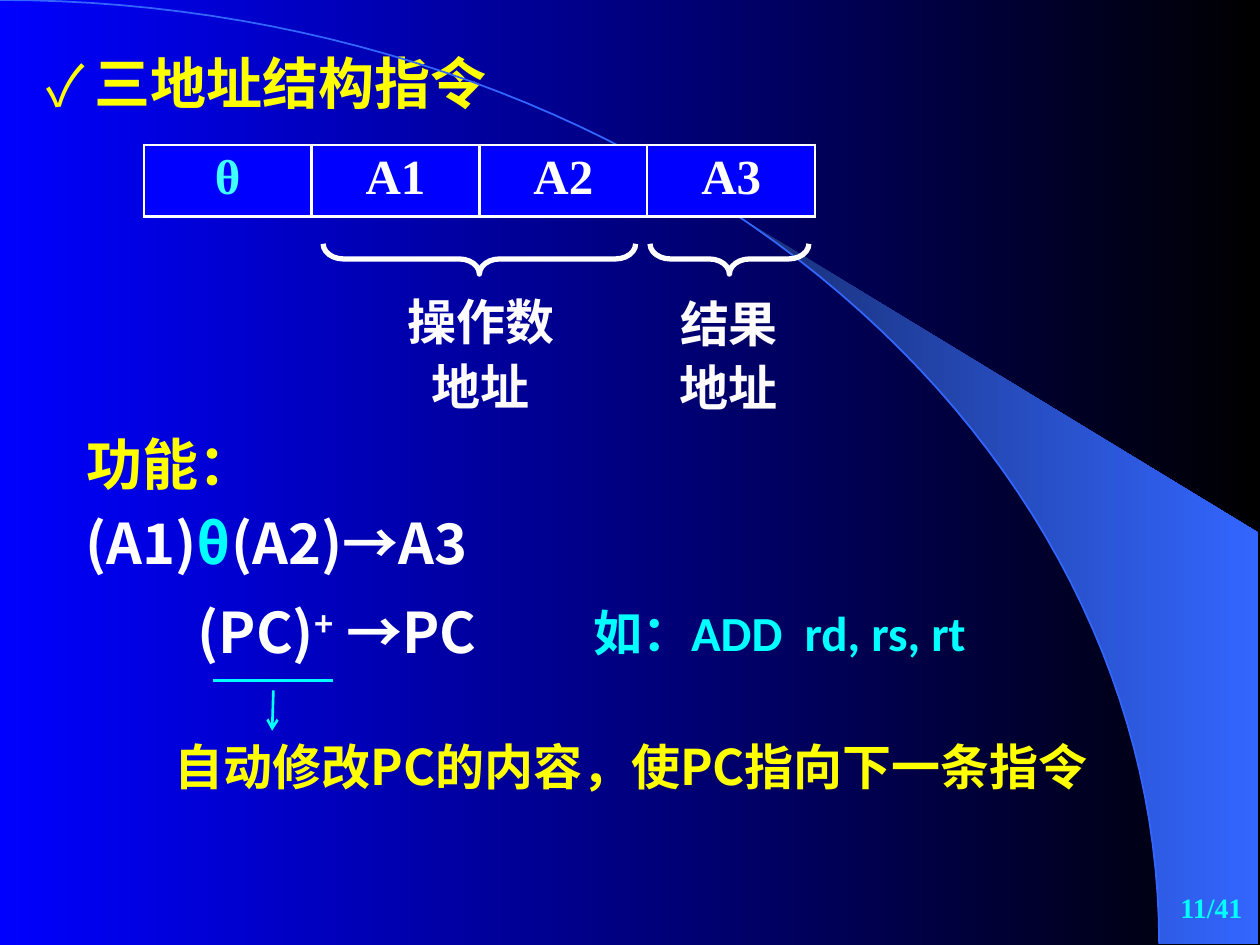
"""Build the slide on three-address instructions."""
import dataclasses
import math

import lxml.etree
import pptx
import pptx.dml.color
import pptx.enum.shapes
import pptx.enum.text
import pptx.oxml.ns
import pptx.util

ALIGN = pptx.enum.text.PP_ALIGN
SHAPE = pptx.enum.shapes.MSO_SHAPE
TOP = pptx.enum.text.MSO_ANCHOR.TOP
MID = pptx.enum.text.MSO_ANCHOR.MIDDLE


@dataclasses.dataclass(frozen=True)
class Theme:
    """Colours, fonts and type sizes."""
    blue: str = "0000FF"
    black: str = "000000"
    navy: str = "182F76"
    sky: str = "3366FF"
    gold: str = "FFFF00"
    white: str = "FFFFFF"
    pale: str = "FDFBFB"
    aqua: str = "00FFFF"
    ice: str = "40FFFF"
    sans: str = "Noto Sans CJK SC"
    serif: str = "Times New Roman"
    plain: str = "Calibri"
    large: int = 32
    mid: int = 28
    small: int = 16


T = Theme()
WIDE, HIGH = pptx.util.Inches(10), pptx.util.Inches(7.5)

HEAD = dict(at=(2.7, 3.73, 54.2, 9.2), size=T.large, space=1.1,
            runs=[("三地址结构指令", T.gold)])
NOTES = [
    dict(at=(29.9, 29.6, 16.5, 15.07), align=ALIGN.CENTER, space=1.1,
         runs=[("操作数地址", T.pale)]),
    dict(at=(51.6, 29.73, 12.5, 15.07), align=ALIGN.CENTER, space=1.1,
         runs=[("结果地址", T.pale)]),
    dict(at=(5.9, 44.8, 16.7, 8.53), size=T.large, face=T.serif,
         runs=[("功能：", T.gold)]),
    dict(at=(5.8, 53.2, 38.6, 8.53), size=T.large,
         runs=[("(A1)", T.white), ("θ", T.aqua), ("(A2)→A3", T.white)]),
    dict(at=(14.7, 62.53, 30.2, 8.53), size=T.large,
         runs=[("(PC)", T.white), ("+", T.white, 30), (" →PC", T.white)]),
    dict(at=(12.9, 77.33, 77.7, 7.6),
         runs=[("自动修改PC的内容，使PC指向下一条指令", T.gold)]),
    dict(at=(46.1, 64.27, 42.5, 6.4), face=T.plain, space=0.8,
         runs=[("如：ADD  rd, rs, rt", T.aqua)]),
    dict(at=(78.8, 92.67, 20.8, 6.67), size=T.small, face=T.serif,
         align=ALIGN.RIGHT, anchor=MID, runs=[("11/41", T.aqua)]),
]
CELLS = [("θ", T.ice), ("A1", T.white), ("A2", T.white), ("A3", T.white)]
GRID = (11.4, 15.33, 53.3, 7.6)
BRACES = [(38.05, 24.8), (57.9, 12.6)]
LINES = [((16.9, 72), (26.4, 72), False),
         ((21.7, 73.07), (21.6, 77.33), True)]
ARC = (92, 99.87)
WEDGE = [(99.9, 99.87), (99.9, 56.4)]
JOIN = 58.9


def spot(x, y):
    """Turn percent shares of the slide into lengths."""
    return round(WIDE * x / 100), round(HIGH * y / 100)


def box(at):
    """Turn a share box into left, top, width and height."""
    return (*spot(*at[:2]), *spot(*at[2:]))


def rgb(code):
    """Read a hex colour."""
    return pptx.dml.color.RGBColor.from_string(code)


def node(top, tag, **keys):
    """Add a drawing element below another."""
    item = lxml.etree.SubElement(top, pptx.oxml.ns.qn("a:" + tag))
    for key, value in keys.items():
        item.set(key, str(value))
    return item


def blend(fill, first, last):
    """Fill with a left-to-right gradient."""
    fill.gradient()
    fill.gradient_angle = 0
    for stop, code in zip(fill.gradient_stops, (first, last)):
        stop.color.rgb = rgb(code)


def stroke(shape, code, width):
    """Set the colour and width of an outline."""
    shape.line.color.rgb = rgb(code)
    shape.line.width = pptx.util.Pt(width)


def write(frame, runs, size=T.mid, face=T.sans, align=ALIGN.LEFT, space=None):
    """Write one paragraph of bold runs."""
    para = frame.paragraphs[0]
    para.alignment = align
    para.line_spacing = space
    for text, code, *raised in runs:
        run = para.add_run()
        run.text = text
        font = run.font
        font.size, font.bold, font.name = pptx.util.Pt(size), True, face
        font.color.rgb = rgb(code)
        props = run._r.get_or_add_rPr()
        node(props, "ea", typeface=T.sans)
        if raised:
            props.set("baseline", str(raised[0] * 1000))


def place(shape, at, anchor=TOP, **style):
    """Place a text shape and write its words."""
    shape.left, shape.top, shape.width, shape.height = box(at)
    frame = shape.text_frame
    frame.word_wrap = True
    frame.auto_size = pptx.enum.text.MSO_AUTO_SIZE.NONE
    frame.vertical_anchor = anchor
    write(frame, **style)


def title(slide):
    """Format the title with its check mark."""
    shape = slide.shapes.title
    props = shape.text_frame.paragraphs[0]._p.get_or_add_pPr()
    inset = pptx.util.Inches(0.38)
    props.set("marL", str(inset))
    props.set("indent", str(-inset))
    node(node(props, "buClr"), "srgbClr", val=T.gold)
    node(props, "buFont", typeface=T.sans)
    node(props, "buChar", char="✓")
    place(shape, **HEAD)


def curve(start):
    """List points on the quarter ellipse from a given x share."""
    wide, high = ARC
    first, count = math.asin(start / wide), 60
    turns = [first + (math.pi / 2 - first) * i / count for i in range(count + 1)]
    return [spot(wide * math.sin(a), high * (1 - math.cos(a))) for a in turns]


def trace(slide, points, close):
    """Draw a freeform through points."""
    pen = slide.shapes.build_freeform(*points[0])
    pen.add_line_segments(points[1:], close=close)
    shape = pen.convert_to_shape()
    shape.shadow.inherit = False
    return shape


def scene(slide):
    """Draw the backdrop, wedge and arc."""
    blend(slide.background.fill, T.blue, T.black)
    wedge = trace(slide, curve(JOIN) + [spot(*p) for p in WEDGE], True)
    blend(wedge.fill, T.navy, T.sky)
    wedge.line.fill.background()
    arc = trace(slide, curve(0), False)
    arc.fill.background()
    stroke(arc, T.sky, 1)


def table(slide):
    """Add the instruction fields."""
    grid = slide.shapes.add_table(1, len(CELLS), *box(GRID)).table
    grid.first_row = grid.horz_banding = False
    for cell, field in zip(grid.rows[0].cells, CELLS):
        write(cell.text_frame, [field], face=T.serif, align=ALIGN.CENTER)
        props = cell._tc.get_or_add_tcPr()
        for side in ("lnL", "lnR", "lnT", "lnB"):
            edge = node(props, side, w=pptx.util.Pt(1.5))
            node(node(edge, "solidFill"), "srgbClr", val=T.white)
        cell.fill.solid()
        cell.fill.fore_color.rgb = rgb(T.blue)


def marks(slide):
    """Draw the braces, the rule and the arrow."""
    thick = pptx.util.Inches(0.24)
    for mid, span in BRACES:
        x, y = spot(mid, 27.4)
        long = spot(span, 0)[0]
        brace = slide.shapes.add_shape(
            SHAPE.LEFT_BRACE, x - thick // 2, y - long // 2, thick, long)
        brace.rotation = 270
        brace.adjustments[0] = 0.67
        brace.shadow.inherit = False
        brace.fill.background()
        stroke(brace, T.white, 3)
    for start, end, tip in LINES:
        line = slide.shapes.add_connector(
            pptx.enum.shapes.MSO_CONNECTOR.STRAIGHT, *spot(*start), *spot(*end))
        stroke(line, T.aqua, 1.5)
        if tip:
            node(line.line._get_or_add_ln(), "tailEnd", type="arrow")
        node(line._element.spPr, "effectLst")


def main():
    """Build and save the deck."""
    deck = pptx.Presentation()
    deck.slide_width, deck.slide_height = WIDE, HIGH
    slide = deck.slides.add_slide(deck.slide_layouts[5])
    scene(slide)
    title(slide)
    table(slide)
    marks(slide)
    for note in NOTES:
        place(slide.shapes.add_textbox(0, 0, 0, 0), **note)
    deck.save("out.pptx")


if __name__ == "__main__":
    main()
